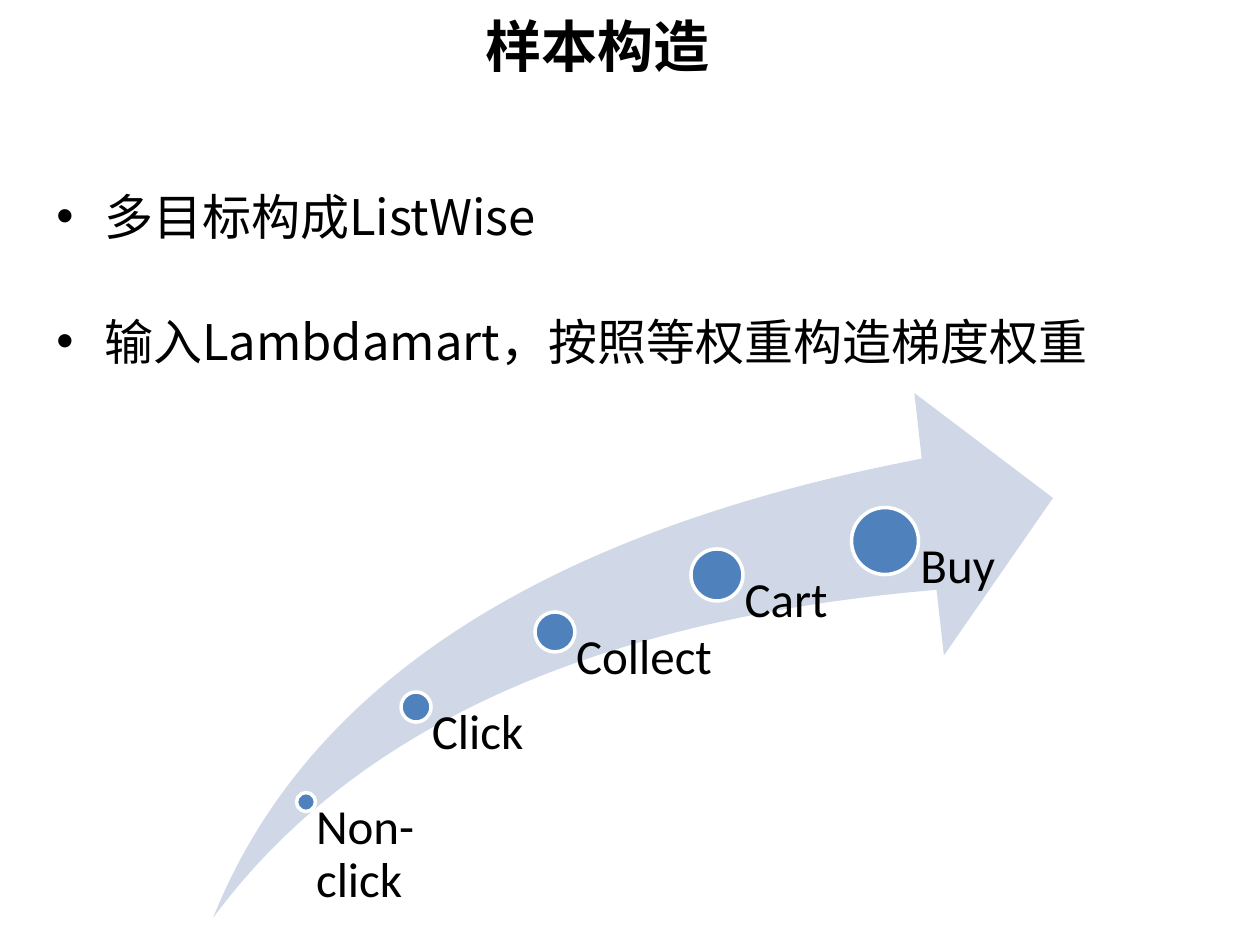
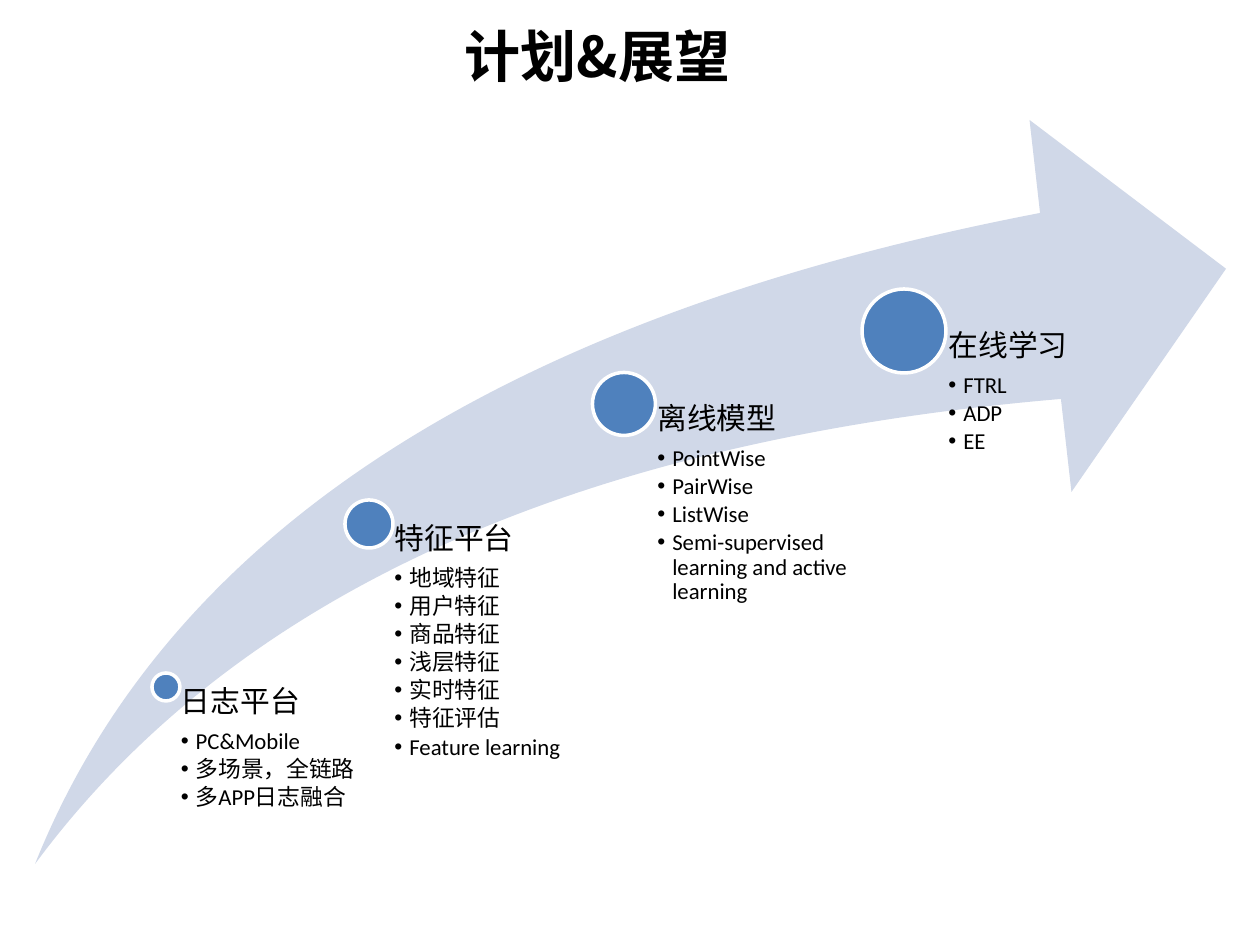
from dataclasses import dataclass

from lxml.etree import SubElement
from pptx import Presentation
from pptx.dml.color import RGBColor
from pptx.enum.shapes import MSO_SHAPE
from pptx.enum.text import MSO_ANCHOR, MSO_AUTO_SIZE, PP_ALIGN
from pptx.oxml.ns import qn
from pptx.util import Pt

PX = 914400 / 126  # EMU in one px


@dataclass(frozen=True)
class Theme:
    ink: RGBColor = RGBColor(0, 0, 0)
    swoosh: RGBColor = RGBColor(0xD0, 0xD8, 0xE8)
    dot: RGBColor = RGBColor(0x4F, 0x81, 0xBD)
    rim: RGBColor = RGBColor(255, 255, 255)
    latin: str = "Calibri"
    asian: str = "Noto Sans CJK SC"
    title: int = 32
    body: int = 28
    head: int = 17
    item: int = 13


theme = Theme()


def emu(*sizes):
    return [round(size * PX) for size in sizes]


def style(para, size, face, bold=False, hang=0):
    """Set the font of a paragraph, with a hanging bullet if hang is given."""
    props = para._p.get_or_add_pPr()
    if hang:
        props.set("marL", str(round(hang * PX)))
        props.set("indent", str(-round(hang * PX)))
        SubElement(props, qn("a:buFont"), typeface="Arial")
        SubElement(props, qn("a:buChar"), char="•")
    font = para.font
    font.size, font.name, font.bold = Pt(size), face, bold
    font.color.rgb = theme.ink
    SubElement(props.find(qn("a:defRPr")), qn("a:ea"), typeface=theme.asian)


# Content: dots are centre x, centre y, diameter, label width, label, items
pages = [
    dict(
        title="样本构造", top=6, size=theme.body, floor=928,
        points=["多目标构成ListWise", "输入Lambdamart，按照等权重构造梯度权重"],
        arrow=(213, 393, 840, 525),
        dots=[
            (306, 802, 19, 110, "Non-click", []),
            (416, 707, 30, 140, "Click", []),
            (555, 632, 40, 163, "Collect", []),
            (717, 575, 52, 168, "Cart", []),
            (885, 541, 67, 168, "Buy", []),
        ],
    ),
    dict(
        title="计划&展望", top=16, size=theme.head, floor=864,
        points=[],
        arrow=(35, 120, 1191, 744),
        dots=[
            (166, 687, 28, 204, "日志平台",
             ["PC&Mobile", "多场景，全链路", "多APP日志融合"]),
            (369, 524, 48, 249, "特征平台",
             ["地域特征", "用户特征", "商品特征", "浅层特征", "实时特征",
              "特征评估", "Feature learning"]),
            (624, 404, 63, 249, "离线模型",
             ["PointWise", "PairWise", "ListWise",
              "Semi-supervised learning and active learning"]),
            (904, 331, 84, 249, "在线学习", ["FTRL", "ADP", "EE"]),
        ],
    ),
]

deck = Presentation()
deck.slide_width, deck.slide_height = emu(1260, 945)

for page in pages:
    slide = deck.slides.add_slide(deck.slide_layouts[5])
    shapes = slide.shapes

    # Title
    title = shapes.title
    title.left, title.top, title.width, title.height = emu(84, page["top"], 1027, 79)
    frame = title.text_frame
    frame.text = page["title"]
    frame.auto_size = MSO_AUTO_SIZE.NONE
    frame.vertical_anchor = MSO_ANCHOR.MIDDLE
    frame.paragraphs[0].alignment = PP_ALIGN.CENTER
    style(frame.paragraphs[0], theme.title, theme.asian, bold=True)

    # Bullet points
    if page["points"]:
        frame = shapes.add_textbox(*emu(44, 180, 1134, 738)).text_frame
        frame.word_wrap = True
        frame.text = "\n".join(page["points"])
        for rank, para in enumerate(frame.paragraphs):
            if rank:
                para.space_before = Pt(38)
            style(para, theme.body, theme.asian, hang=48)

    # Rising arrow
    arrow = shapes.add_shape(MSO_SHAPE.SWOOSH_ARROW, *emu(*page["arrow"]))
    arrow.adjustments[0] = arrow.adjustments[1] = 0.25
    arrow.shadow.inherit = False
    arrow.fill.solid()
    arrow.fill.fore_color.rgb = theme.swoosh
    arrow.line.fill.background()

    # Stages: a dot, and a label that hangs from its centre
    for x, y, size, width, label, items in page["dots"]:
        dot = shapes.add_shape(
            MSO_SHAPE.OVAL, *emu(x - size / 2, y - size / 2, size, size))
        dot.shadow.inherit = False
        dot.fill.solid()
        dot.fill.fore_color.rgb = theme.dot
        dot.line.color.rgb = theme.rim
        dot.line.width = Pt(2)

        frame = shapes.add_textbox(*emu(x, y, width, page["floor"] - y)).text_frame
        frame.word_wrap = True
        frame.margin_left = round(size * 0.53 * PX)
        frame.margin_top = frame.margin_right = frame.margin_bottom = 0
        frame.text = "\n".join([label] + items)
        for rank, para in enumerate(frame.paragraphs):
            para.line_spacing = 0.9
            if rank:
                para.level = 1
                para.space_after = Pt(2)
                style(para, theme.item, theme.latin, hang=15)
            else:
                para.space_after = Pt(6)
                style(para, page["size"], theme.latin)

deck.save("out.pptx")
